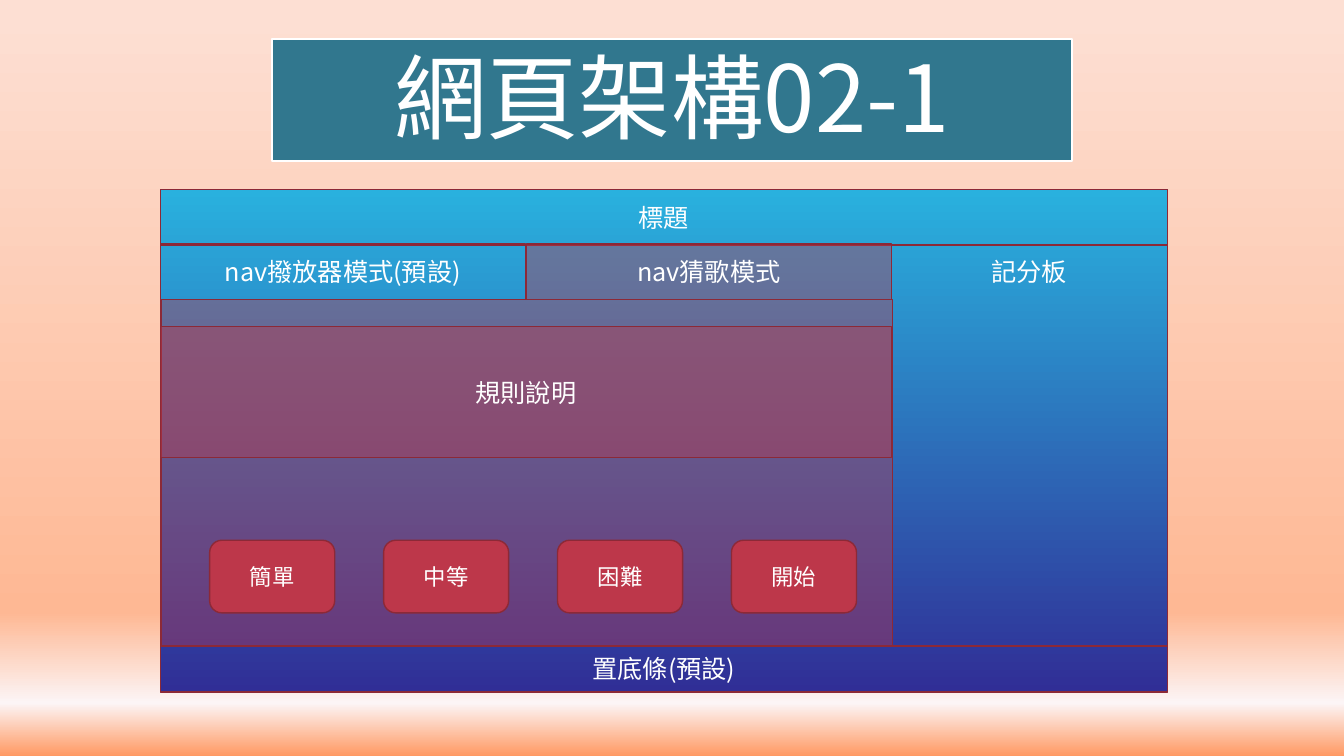
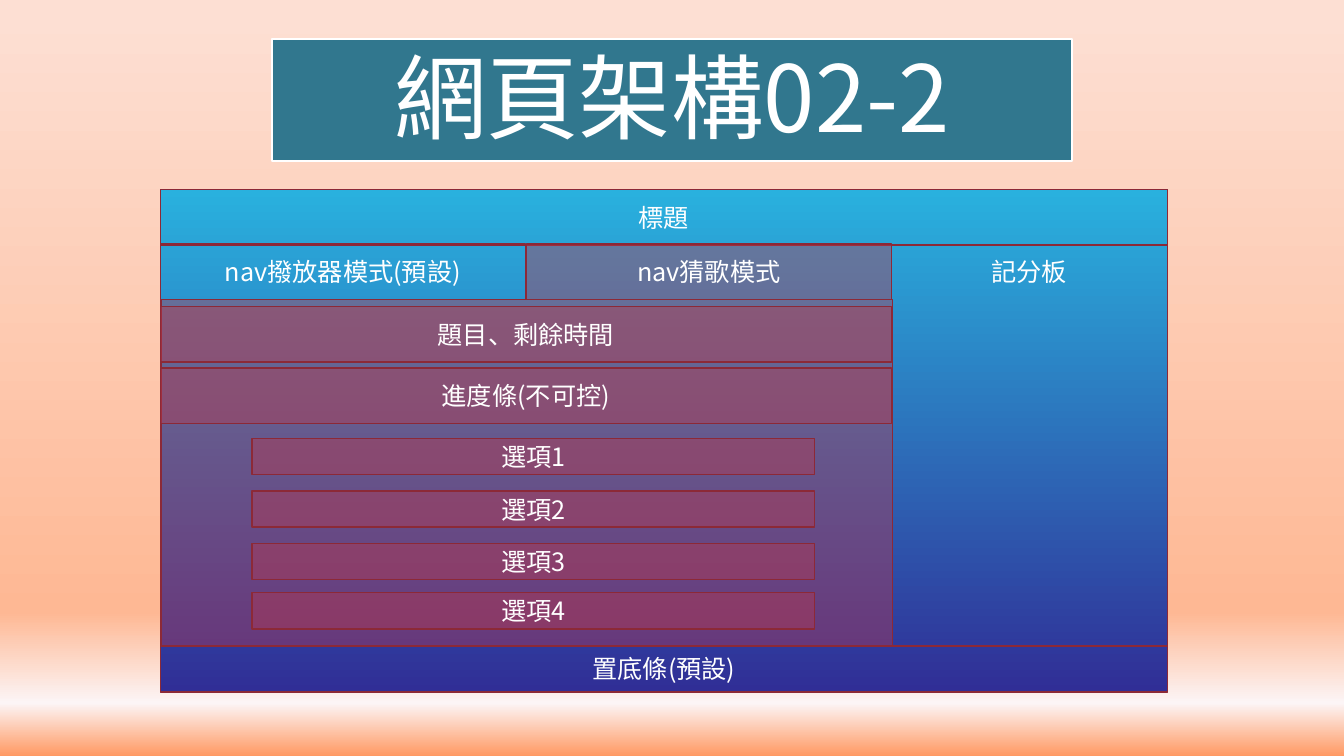
from dataclasses import dataclass
from typing import Optional

from lxml import etree
from pptx import Presentation
from pptx.dml.color import RGBColor
from pptx.enum.shapes import MSO_SHAPE
from pptx.enum.text import MSO_ANCHOR, PP_ALIGN
from pptx.oxml.ns import qn
from pptx.util import Inches, Pt

RECT = MSO_SHAPE.RECTANGLE
ROUNDED = MSO_SHAPE.ROUNDED_RECTANGLE
CENTER = PP_ALIGN.CENTER
MIDDLE = MSO_ANCHOR.MIDDLE

FONT = "Noto Sans CJK SC"
WHITE = "FFFFFF"
TEAL = "31778E"
RED = "BD374A"
DARK_RED = "8C2937"
PAGE_STOPS = ((2, "FDDFD3"), (81, "FEB894"), (93, "FCF5F6"), (100, "FF9963"))
FRAME_STOPS = ((0, "29B1DE"), (100, "302E96"))

LEFT, TOP = 1.59, 1.88
WIDTH, HEIGHT = 9.99, 4.99
ROW = 0.55
NAV_TOP = 2.42
NAV_WIDTH = 3.62
MAIN_WIDTH = 7.25
FOOTER_TOP = 6.41
BUTTON_LEFT, BUTTON_STEP = 2.08, 1.725
OPTION_TOPS = (4.35, 4.87, 5.39, 5.88)


@dataclass(frozen=True)
class Block:
    left: float
    top: float
    width: float
    height: float
    text: str = ""
    fill: Optional[str] = None
    alpha: int = 100
    line: str = DARK_RED
    line_width: float = 1
    size: int = 18
    preset: int = RECT


def color(value: str) -> RGBColor:
    return RGBColor.from_string(value)


def set_gradient(fill, element, stops) -> None:
    fill.gradient()
    fill.gradient_angle = 270
    stop_list = next(element.iter(qn("a:gsLst")))
    for stop in list(stop_list):
        stop_list.remove(stop)
    for position, value in stops:
        stop = etree.SubElement(stop_list, qn("a:gs"), pos=str(position * 1000))
        etree.SubElement(stop, qn("a:srgbClr"), val=value)


def write_text(box, text: str, size: int):
    frame = box.text_frame
    frame.word_wrap = True
    frame.vertical_anchor = MIDDLE
    para = frame.paragraphs[0]
    para.alignment = CENTER
    span = para.add_run()
    span.text = text
    span.font.size = Pt(size)
    span.font.name = FONT
    span.font.color.rgb = color(WHITE)
    latin = span.font._element.find(qn("a:latin"))
    east_asian = etree.Element(qn("a:ea"), typeface=FONT)
    latin.addnext(east_asian)
    return frame


def draw_block(page, block: Block):
    box = page.shapes.add_shape(
        block.preset, Inches(block.left), Inches(block.top),
        Inches(block.width), Inches(block.height))
    box.shadow.inherit = False
    box.line.color.rgb = color(block.line)
    box.line.width = Pt(block.line_width)
    if block.fill is None:
        box.fill.background()
    else:
        box.fill.solid()
        box.fill.fore_color.rgb = color(block.fill)
        if block.alpha < 100:
            tint = next(box.element.iter(qn("a:srgbClr")))
            etree.SubElement(tint, qn("a:alpha"), val=str(block.alpha * 1000))
    if block.text:
        write_text(box, block.text, block.size)
    return box


def panel(left: float, top: float, width: float, height: float,
          text: str = "") -> Block:
    return Block(left, top, width, height, text, RED, 40)


def draw_title(page, text: str) -> None:
    title = draw_block(page, Block(2.7, 0.39, 7.93, 1.21, text, TEAL,
                                   line=WHITE, line_width=1.5, size=66))
    frame = title.text_frame
    frame.margin_top = Inches(0.04)
    frame.margin_bottom = 0
    frame.paragraphs[0].line_spacing = 0.9


def draw_score_label(page) -> None:
    label = page.shapes.add_textbox(
        Inches(8.84), Inches(NAV_TOP), Inches(2.73), Inches(ROW))
    write_text(label, "記分板", 18)


def add_page(deck, title: str, content: list[Block]) -> None:
    page = deck.slides.add_slide(deck.slide_layouts[6])
    set_gradient(page.background.fill, page.element, PAGE_STOPS)
    draw_title(page, title)
    frame = draw_block(page, Block(LEFT, TOP, WIDTH, HEIGHT))
    set_gradient(frame.fill, frame.element, FRAME_STOPS)
    layout = [
        Block(LEFT, TOP, WIDTH, ROW, "標題"),
        Block(LEFT, NAV_TOP, NAV_WIDTH, ROW, "nav撥放器模式(預設)"),
        panel(5.22, NAV_TOP, NAV_WIDTH, ROW, "nav猜歌模式"),
        panel(1.6, 2.97, MAIN_WIDTH, 3.44),
        Block(LEFT, FOOTER_TOP, WIDTH, 0.45, "置底條(預設)"),
    ]
    for block in layout:
        draw_block(page, block)
    draw_score_label(page)
    for block in content:
        draw_block(page, block)


def main() -> None:
    deck = Presentation()
    deck.slide_width = Inches(13.33)
    deck.slide_height = Inches(7.5)
    buttons = [
        Block(BUTTON_LEFT + index * BUTTON_STEP, 5.36, 1.24, 0.72, text, RED,
              size=16, preset=ROUNDED)
        for index, text in enumerate(("簡單", "中等", "困難", "開始"))
    ]
    options = [
        panel(2.5, top, 5.58, 0.36, f"選項{number}")
        for number, top in enumerate(OPTION_TOPS, 1)
    ]
    rules = panel(LEFT, 3.24, MAIN_WIDTH, 1.3, "規則說明")
    progress = panel(LEFT, 3.65, MAIN_WIDTH, ROW, "進度條(不可控)")
    question = panel(LEFT, 3.04, MAIN_WIDTH, ROW, "題目、剩餘時間")
    add_page(deck, "網頁架構02-1", [rules, *buttons])
    add_page(deck, "網頁架構02-2", [progress, *options, question])
    deck.save("out.pptx")


if __name__ == "__main__":
    main()
